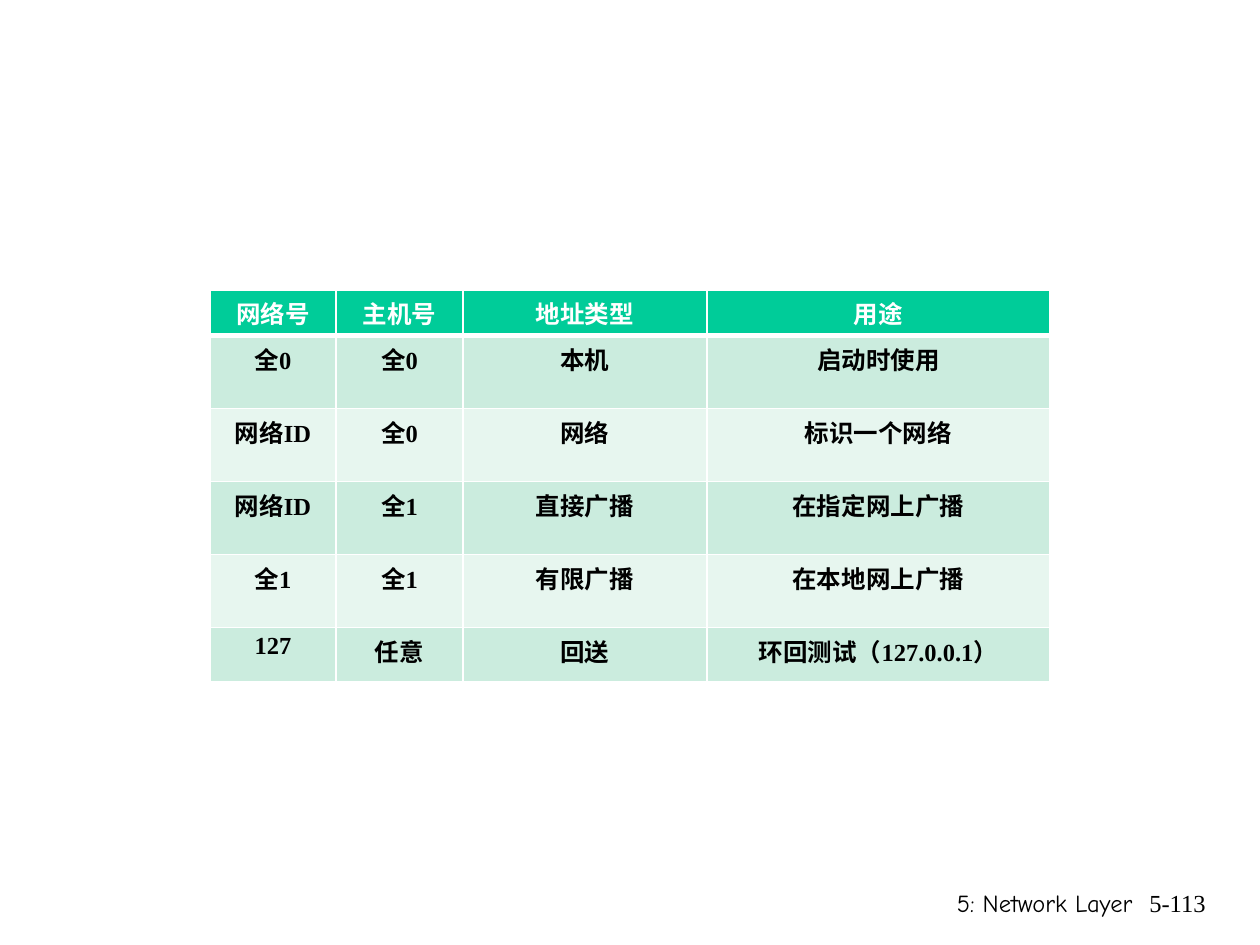
from pptx import Presentation
from pptx.dml.color import RGBColor
from pptx.enum.text import PP_ALIGN
from pptx.oxml.ns import qn
from pptx.util import Emu, Pt
from lxml.etree import SubElement

PX_PER_INCH = 126
COLORS = {
    "header": "00CC99",
    "odd": "CBECDE",
    "even": "E7F6EF",
    "white": "FFFFFF",
    "black": "000000",
}
SERIF = "Times New Roman"
HAND = "Comic Neue"


def px(length):
    return Emu(round(length * 914400 / PX_PER_INCH))


class SlideBuilder:
    """Holds the text style and the current slide."""

    def __init__(self, slide, size=14):
        self.slide = slide
        self.size = size

    def set_text(self, paragraph, text, font, color, align, bold=False):
        paragraph.text = text
        paragraph.alignment = align
        paragraph.font.name = font
        paragraph.font.size = Pt(self.size)
        paragraph.font.bold = bold
        paragraph.font.color.rgb = RGBColor.from_string(COLORS[color])

    def footer(self, left, top, width, height, text, font):
        frame = self.slide.shapes.add_textbox(
            px(left), px(top), px(width), px(height)).text_frame
        frame.word_wrap = True
        self.set_text(frame.paragraphs[0], text, font, "black", PP_ALIGN.RIGHT)

    def border(self, cell, side, points):
        line = SubElement(cell._tc.get_or_add_tcPr(), qn(f"a:ln{side}"), w=str(Pt(points)))
        fill = SubElement(line, qn("a:solidFill"))
        SubElement(fill, qn("a:srgbClr"), val=COLORS["white"])

    def cell(self, cell, text, row):
        cell.margin_left = cell.margin_right = px(9)
        cell.margin_top = cell.margin_bottom = px(5)
        # The rule under the header is heavier than the others
        widths = {"L": 1, "R": 1, "T": 3 if row == 1 else 1, "B": 3 if row == 0 else 1}
        for side, points in widths.items():
            self.border(cell, side, points)
        band = "header" if row == 0 else ("even", "odd")[row % 2]
        cell.fill.solid()
        cell.fill.fore_color.rgb = RGBColor.from_string(COLORS[band])
        self.set_text(cell.text_frame.paragraphs[0], text, SERIF,
                      "black" if row else "white", PP_ALIGN.CENTER, bold=True)

    def table(self, left, top, columns, heights, rows):
        table = self.slide.shapes.add_table(
            len(rows), len(columns), px(left), px(top),
            px(sum(columns)), px(sum(heights))).table
        table.horz_banding = False
        for column, width in zip(table.columns, columns):
            column.width = px(width)
        for index, (height, texts) in enumerate(zip(heights, rows)):
            table.rows[index].height = px(height)
            for cell, text in zip(table.rows[index].cells, texts):
                self.cell(cell, text, index)


def main():
    deck = Presentation()
    deck.slide_width, deck.slide_height = px(1260), px(945)
    builder = SlideBuilder(deck.slides.add_slide(deck.slide_layouts[6]))

    # Special IP addresses
    special_addresses = [
        ("网络号", "主机号", "地址类型", "用途"),
        ("全0", "全0", "本机", "启动时使用"),
        ("网络ID", "全0", "网络", "标识一个网络"),
        ("网络ID", "全1", "直接广播", "在指定网上广播"),
        ("全1", "全1", "有限广播", "在本地网上广播"),
        ("127", "任意", "回送", "环回测试（127.0.0.1）"),
    ]
    builder.table(210, 290, [126, 127, 244, 343], [44] + [73] * 4 + [54],
                  special_addresses)

    # Footer and slide number
    builder.footer(746, 882, 399, 63, "5: Network Layer", HAND)
    builder.footer(1125, 882, 93, 63, "5-113", SERIF)

    deck.save("out.pptx")


if __name__ == "__main__":
    main()
